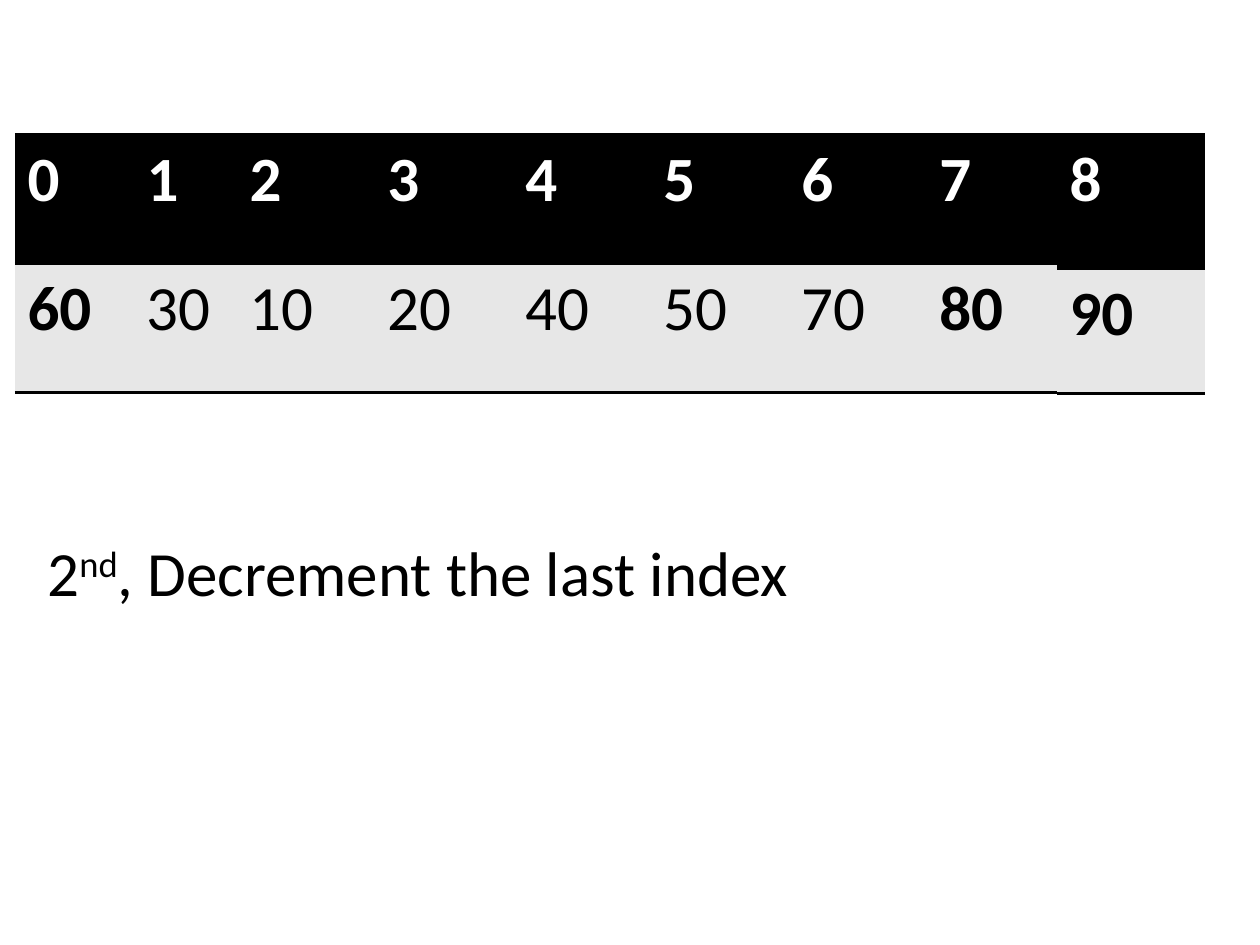
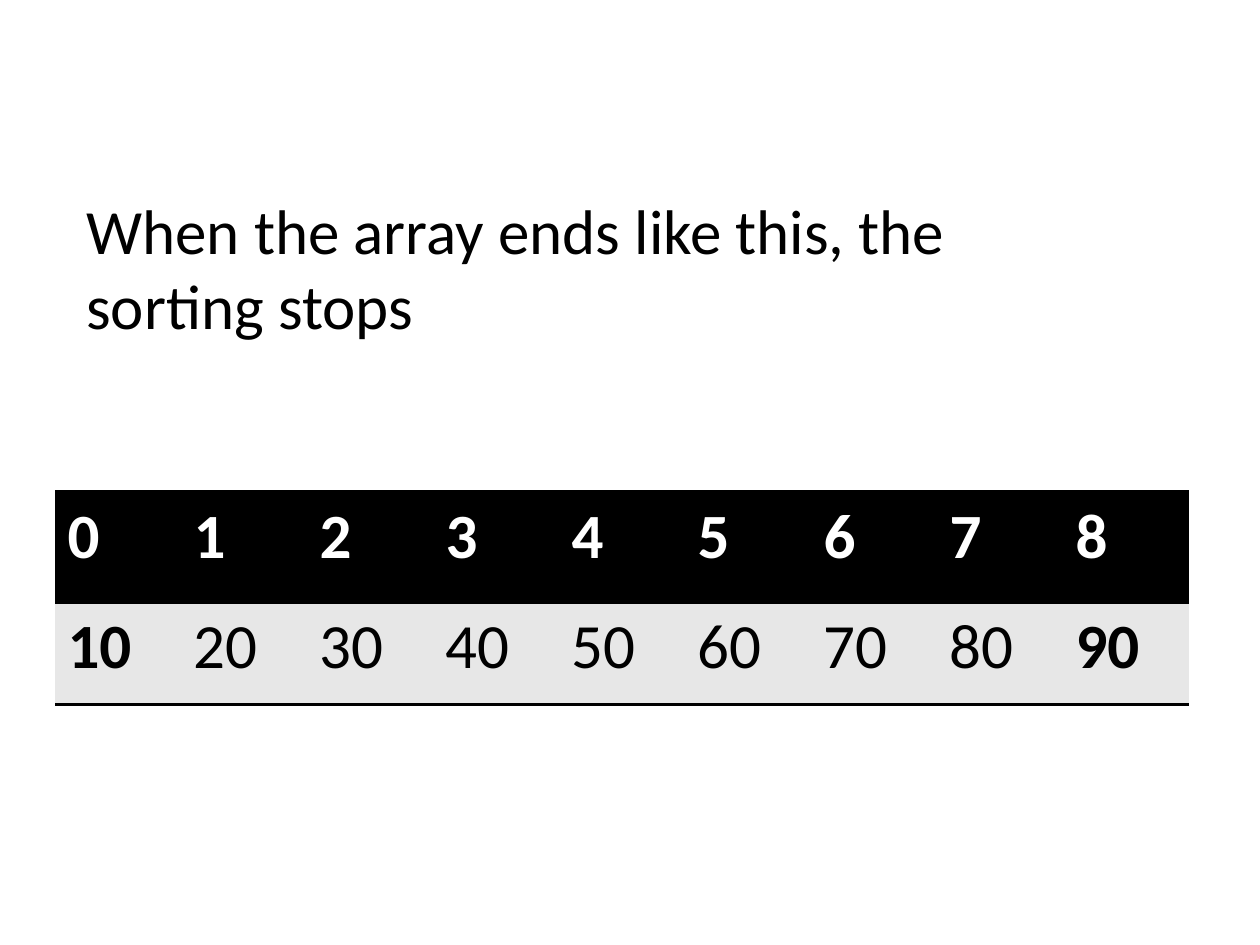
from dataclasses import dataclass

from lxml import etree
from pptx import Presentation
from pptx.dml.color import RGBColor
from pptx.enum.text import MSO_AUTO_SIZE
from pptx.oxml.ns import qn
from pptx.util import Emu, Pt

GROW_TO_TEXT = MSO_AUTO_SIZE.SHAPE_TO_FIT_TEXT
PIXELS_PER_INCH = 126
SLIDE_SIZE = (1260, 945)
PLAIN_TABLE_STYLE = "{2D5ABB26-0587-4C30-8999-92F81FD0307C}"


@dataclass(frozen=True)
class Theme:
    font: str = "Calibri"
    size: int = 36
    text: str = "000000"
    header_text: str = "FFFFFF"
    header_fill: str = "000000"
    value_fill: str = "E7E7E7"
    rule: str = "000000"
    rule_width: int = 2
    superscript: int = 30


THEME = Theme()

SLIDES = [
    {
        "arrays": [
            {
                "at": (15, 135),
                "columns": [119, 103] + [138] * 6,
                "rows": [129, 129],
                "first_index": 0,
                "values": [60, 30, 10, 20, 40, 50, 70, 80],
                "bold": {60, 80},
            },
            {
                "at": (1057, 135),
                "columns": [148],
                "rows": [134, 125],
                "first_index": 8,
                "values": [90],
                "bold": {90},
            },
        ],
        "note_at": (35, 527, 1022, 89),
        "note": [("2", False), ("nd", True), (", Decrement the last index", False)],
    },
    {
        "arrays": [
            {
                "at": (55, 492),
                "columns": [126] * 9,
                "rows": [110, 103],
                "first_index": 0,
                "values": [10, 20, 30, 40, 50, 60, 70, 80, 90],
                "bold": {10, 90},
            },
        ],
        "note_at": (74, 185, 1022, 165),
        "note": [("When the array ends like this, the sorting stops", False)],
    },
]


def px(length):
    return Emu(round(length * 914400 / PIXELS_PER_INCH))


def add_run(paragraph, text, color, bold=False):
    run = paragraph.add_run()
    run.text = text
    run.font.name = THEME.font
    run.font.size = Pt(THEME.size)
    run.font.bold = bold
    run.font.color.rgb = RGBColor.from_string(color)
    return run


def add_rule(cell, edge):
    properties = cell._tc.get_or_add_tcPr()
    line = etree.SubElement(properties, qn(f"a:{edge}"), w=str(Pt(THEME.rule_width)))
    fill = etree.SubElement(line, qn("a:solidFill"))
    etree.SubElement(fill, qn("a:srgbClr"), val=THEME.rule)


def style_cell(cell, text, color, fill, bold, edges):
    for edge in edges:
        add_rule(cell, edge)
    cell.fill.solid()
    cell.fill.fore_color.rgb = RGBColor.from_string(fill)
    add_run(cell.text_frame.paragraphs[0], text, color, bold)


def add_array(slide, array):
    left, top = array["at"]
    columns, rows = array["columns"], array["rows"]
    frame = slide.shapes.add_table(
        len(rows), len(columns), px(left), px(top), px(sum(columns)), px(sum(rows))
    )
    table = frame.table
    table.first_row = False
    table.horz_banding = False
    table._tbl.tblPr.find(qn("a:tableStyleId")).text = PLAIN_TABLE_STYLE
    for column, width in zip(table.columns, columns):
        column.width = px(width)
    for row, height in zip(table.rows, rows):
        row.height = px(height)
    for position, value in enumerate(array["values"]):
        index = str(array["first_index"] + position)
        style_cell(table.cell(0, position), index, THEME.header_text,
                   THEME.header_fill, True, ("lnT", "lnB"))
        style_cell(table.cell(1, position), str(value), THEME.text,
                   THEME.value_fill, value in array["bold"], ("lnT", "lnB"))


def add_note(slide, box, runs):
    text_frame = slide.shapes.add_textbox(*map(px, box)).text_frame
    text_frame.word_wrap = True
    text_frame.auto_size = GROW_TO_TEXT
    for text, raised in runs:
        run = add_run(text_frame.paragraphs[0], text, THEME.text)
        if raised:
            run.font._element.set("baseline", str(THEME.superscript * 1000))


def main():
    presentation = Presentation()
    presentation.slide_width, presentation.slide_height = map(px, SLIDE_SIZE)
    blank_layout = presentation.slide_layouts[6]
    for content in SLIDES:
        slide = presentation.slides.add_slide(blank_layout)
        for array in content["arrays"]:
            add_array(slide, array)
        add_note(slide, content["note_at"], content["note"])
    presentation.save("out.pptx")


if __name__ == "__main__":
    main()
